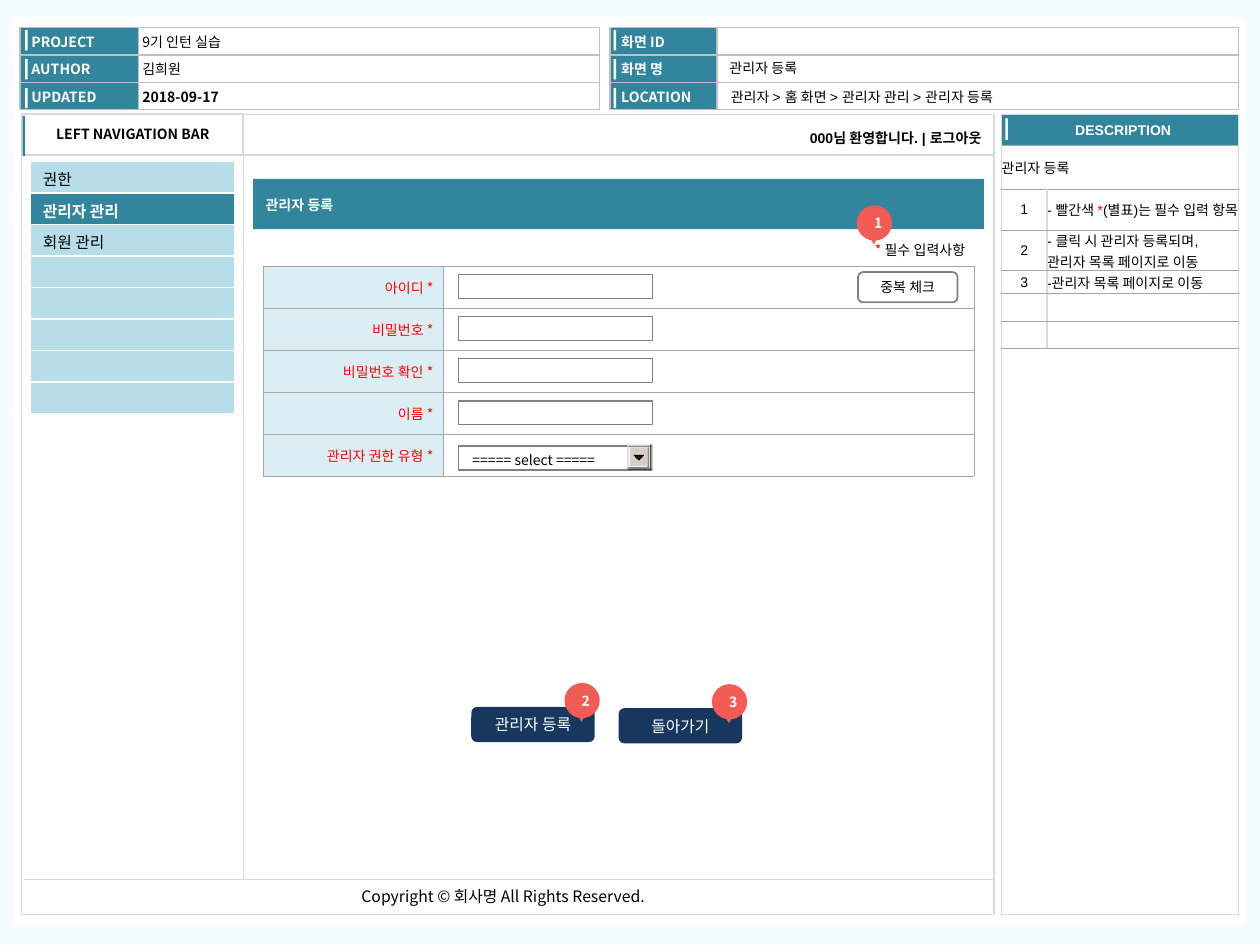
from lxml import etree
from pptx import Presentation
from pptx import util as u
from pptx.dml.color import RGBColor
from pptx.enum import shapes, text
from pptx.oxml.ns import qn

WHITE, BLACK, RED = (RGBColor.from_string(c) for c in ("FFFFFF", "000000", "FF0000"))
SKY = RGBColor(0xF3, 0xFC, 0xFF)
TEAL = RGBColor(0x31, 0x85, 0x9C)
AQUA = RGBColor(0xB7, 0xDE, 0xE8)
PALE = RGBColor(0xDB, 0xEE, 0xF4)
NAVY = RGBColor(0x17, 0x37, 0x5E)
CORAL = RGBColor(0xF2, 0x5C, 0x54)
LIGHT = RGBColor(0xD9, 0xD9, 0xD9)
SILVER = RGBColor(0xC0, 0xC0, 0xC0)
MIDDLE = RGBColor(0xA6, 0xA6, 0xA6)
GREY = RGBColor(0x80, 0x80, 0x80)
DARK = RGBColor(0x40, 0x40, 0x40)
FACE = RGBColor(0xD4, 0xD0, 0xC8)
NOTO, ARIAL = "Noto Sans CJK KR", "Arial"
LEFT, CENTER, RIGHT = text.PP_ALIGN.LEFT, text.PP_ALIGN.CENTER, text.PP_ALIGN.RIGHT
TOP, MIDDLE_ANCHOR = text.MSO_ANCHOR.TOP, text.MSO_ANCHOR.MIDDLE
RECT, ROUND = shapes.MSO_SHAPE.RECTANGLE, shapes.MSO_SHAPE.ROUNDED_RECTANGLE
OVAL, TRIANGLE = shapes.MSO_SHAPE.OVAL, shapes.MSO_SHAPE.ISOSCELES_TRIANGLE
THIN = (0.3, 0, 0.3, 0)
SNUG = (0.8, 0.4, 0.8, 0.4)


def cells(count):
    """Turn grid cells into a length; the slide has 100 by 75 cells."""
    return u.Inches(round(count / 10, 4))


class Sheet:
    """The style and the current slide."""

    def __init__(self, deck):
        """Add a blank slide with the page colour."""
        self.slide = deck.slides.add_slide(deck.slide_layouts[6])
        self.slide.background.fill.solid()
        self.slide.background.fill.fore_color.rgb = SKY
        self.target = self.slide.shapes

    def group(self):
        """Send the next elements into a new group."""
        self.target = self.slide.shapes.add_group_shape().shapes

    def ungroup(self):
        """Send the next elements straight to the slide."""
        self.target = self.slide.shapes

    def set_text(self, para, spans, size=8, color=BLACK, bold=False, font=NOTO, align=LEFT):
        """Fill a paragraph with one string or with (string, colour) spans."""
        para.alignment = align
        if not spans:
            etree.SubElement(para._p, qn("a:endParaRPr"), sz=str(size * 100))
            return
        for words, tint in [(spans, color)] if isinstance(spans, str) else spans:
            span = para.add_run()
            span.text = words
            span.font.size, span.font.bold, span.font.name = u.Pt(size), bold, font
            span.font.color.rgb = tint
            etree.SubElement(span.font._element, qn("a:ea"), typeface=NOTO)

    def box(self, x, y, w, h, fill=None, line=None, weight=0.75, kind=RECT, spans="",
            insets=(1, 0.5, 1, 0.5), anchor=MIDDLE_ANCHOR, **style):
        """Draw a preset shape, with text if given."""
        shape = self.target.add_shape(kind, *map(cells, (x, y, w, h)))
        shape.shadow.inherit = False
        if fill is None:
            shape.fill.background()
        else:
            shape.fill.solid()
            shape.fill.fore_color.rgb = fill
        if line is None:
            shape.line.fill.background()
        else:
            shape.line.color.rgb, shape.line.width = line, u.Pt(weight)
        if spans:
            self.fit(shape.text_frame, insets, anchor)
            self.set_text(shape.text_frame.paragraphs[0], spans, **style)
        return shape

    def label(self, x, y, w, h, spans, insets=(1, 0.5, 1, 0.5), wrap=True, **style):
        """Place a text box."""
        frame = self.target.add_textbox(*map(cells, (x, y, w, h))).text_frame
        self.fit(frame, insets, TOP)
        frame.word_wrap = wrap
        self.set_text(frame.paragraphs[0], spans, **style)

    def fit(self, frame, insets, anchor):
        """Set the insets and the anchor of a text frame."""
        frame.margin_left, frame.margin_top, frame.margin_right, frame.margin_bottom = map(cells, insets)
        frame.vertical_anchor, frame.word_wrap = anchor, True

    def rule(self, x1, y1, x2, y2, weight=1.0):
        """Draw a straight light line."""
        line = self.target.add_connector(shapes.MSO_CONNECTOR.STRAIGHT, *map(cells, (x1, y1, x2, y2)))
        line.line.color.rgb, line.line.width = LIGHT, u.Pt(weight)
        etree.SubElement(line._element.spPr, qn("a:effectLst"))

    def table(self, x, y, widths, heights, side, flat):
        """Add an empty table; side and flat are (colour, points) of its borders."""
        frame = self.target.add_table(len(heights), len(widths),
                                      *map(cells, (x, y, sum(widths), sum(heights))))
        grid = frame.table
        grid.first_row = grid.horz_banding = False
        for column, width in zip(grid.columns, widths):
            column.width = cells(width)
        for row, height in zip(grid.rows, heights):
            row.height = cells(height)
        for cell in grid.iter_cells():
            props = cell._tc.get_or_add_tcPr()
            for tag, (color, weight) in zip(("lnL", "lnR", "lnT", "lnB"), (side, side, flat, flat)):
                edge = etree.SubElement(props, qn("a:" + tag), w=str(int(u.Pt(weight))))
                paint = etree.SubElement(edge, qn("a:solidFill"))
                etree.SubElement(paint, qn("a:srgbClr"), val=str(color))
        return grid

    def cell(self, cell, spans="", fill=WHITE, insets=THIN, **style):
        """Fill one table cell and set its text."""
        cell.margin_left, cell.margin_top, cell.margin_right, cell.margin_bottom = map(cells, insets)
        cell.vertical_anchor = MIDDLE_ANCHOR
        if fill is None:
            cell.fill.background()
        else:
            cell.fill.solid()
            cell.fill.fore_color.rgb = fill
        self.set_text(cell.text_frame.paragraphs[0], spans, **style)

    def marker(self, x, y, number):
        """Draw a numbered pin."""
        self.group()
        self.box(x + 0.9, y + 2.3, 0.9, 0.8, CORAL, kind=TRIANGLE).rotation = 180
        self.box(x, y, 2.8, 2.8, CORAL, kind=OVAL, spans=number, insets=(0.6, 0, 0, 0),
                 color=WHITE, bold=True, align=CENTER)
        self.ungroup()

    def frame(self, x, y, w, h, light, shade):
        """Draw a bevel of four strips."""
        t = 0.12
        for strip, color in (((x, y, t, h), light), ((x, y, w, t), light),
                             ((x + w - t, y, t, h), shade), ((x, y + h - t, w, t), shade)):
            self.box(*strip, color)


def header(sheet):
    """Draw the two tables at the head of the page."""
    project = (("PROJECT", "9기 인턴 실습"), ("AUTHOR", "김희원"), ("UPDATED", "2018-09-17"))
    screen = (("화면 ID", ""), ("화면 명", ""), ("LOCATION", ""))
    for x, widths, rows, bar in ((1.6, (9.4, 36.6), project, 2), (48.4, (8.5, 41.4), screen, 48.7)):
        grid = sheet.table(x, 2.2, widths, [6.5 / 3] * 3, (SILVER, 1), (SILVER, 1))
        for index, (name, value) in enumerate(rows):
            sheet.cell(grid.cell(index, 0), name, TEAL, (0.9, 0, 0.3, 0), color=WHITE, bold=True)
            sheet.cell(grid.cell(index, 1), value, bold=name == "UPDATED")
            sheet.box(bar, 2.4 + 2.3 * index, 0.2, 1.6, WHITE)
    sheet.label(57.2, 6.6, 29, 2, "관리자 > 홈 화면 > 관리자 관리 > 관리자 등록", SNUG, font=ARIAL)
    sheet.label(57.1, 4.3, 29, 2, "관리자 등록", SNUG, font=ARIAL)


def description(sheet):
    """Draw the description column."""
    panel = sheet.table(79.5, 9.1, [18.8], [2.5, 61], (LIGHT, 1), (LIGHT, 1))
    sheet.cell(panel.cell(0, 0), "DESCRIPTION", TEAL, (0.5, 0, 0, 0), color=WHITE, bold=True,
               font=ARIAL, align=CENTER)
    sheet.cell(panel.cell(1, 0))
    sheet.box(79.8, 9.4, 0.2, 1.7, WHITE)
    notes = ([("- 빨간색 ", BLACK), ("*", RED), ("(별표)는 필수 입력 항목", BLACK)],
             "- 클릭 시 관리자 등록되며, 관리자 목록 페이지로 이동",
             "-관리자 목록 페이지로 이동", "", "")
    grid = sheet.table(79.5, 11.5, (3.6, 15.2), (3.5, 3.3, 3.2, 1.8, 2.2, 2.2), (LIGHT, 1), (MIDDLE, 0.5))
    grid.cell(0, 0).merge(grid.cell(0, 1))
    flush = dict(insets=(0, 0, 0, 0), font=ARIAL)
    sheet.cell(grid.cell(0, 0), "관리자 등록", **flush)
    for index, note in enumerate(notes, 1):
        sheet.cell(grid.cell(index, 0), str(index) if note else "", align=CENTER, **flush)
        sheet.cell(grid.cell(index, 1), note, **flush)


def navigation(sheet):
    """Draw the page frame, the greeting and the menu."""
    sheet.rule(1.9, 69.8, 78.9, 69.8)
    sheet.label(27.7, 69.9, 25.2, 2.5, "Copyright ©\u00a0회사명 All Rights Reserved.", wrap=False, size=9)
    sheet.box(1.8, 9, 17.5, 3.3, line=LIGHT, spans="LEFT NAVIGATION BAR", bold=True, align=CENTER)
    sheet.box(1.8, 9.2, 0.2, 3.2, TEAL)
    sheet.rule(19.3, 9.1, 19.3, 69.8, 0.75)
    sheet.rule(19.3, 12.3, 78.9, 12.3)
    sheet.label(52.9, 9.9, 25.8, 2.2, "000님 환영합니다. | 로그아웃", SNUG, bold=True, font=ARIAL, align=RIGHT)
    menu = sheet.table(2.4, 12.8, [16.2], [2.5] * 8, (WHITE, 1), (WHITE, 1))
    for index, name in enumerate(("권한", "관리자 관리", "회원 관리") + ("",) * 5):
        chosen = index == 1
        sheet.cell(menu.cell(index, 0), name, TEAL if chosen else AQUA, (1, 0.3, 1, 0), size=9,
                   color=WHITE if chosen else BLACK, bold=chosen)


def form(sheet):
    """Draw the registration form."""
    sheet.group()
    sheet.box(20.1, 14.2, 58, 4, TEAL)
    sheet.box(20.1, 15.1, 51.4, 2.4, TEAL, spans="관리자 등록", anchor=TOP, color=WHITE, bold=True)
    sheet.ungroup()
    pitch = 16.7 / 5
    grid = sheet.table(20.9, 21.1, (14.3, 42.1), [pitch] * 5, (MIDDLE, 0.25), (MIDDLE, 0.25))
    for index, name in enumerate(("아이디", "비밀번호", "비밀번호 확인", "이름", "관리자 권한 유형")):
        sheet.cell(grid.cell(index, 0), name + " *", PALE, SNUG, color=RED, align=RIGHT)
        sheet.cell(grid.cell(index, 1), fill=None)
        if index < 4:
            sheet.box(36.4, 21.8 + pitch * index, 15.4, 1.9, WHITE, GREY)
    sheet.label(63.4, 18.7, 14.2, 2.4, [("* ", RED), ("필수 입력사항", BLACK)], align=RIGHT)
    sheet.box(68.1, 21.6, 7.9, 2.4, WHITE, GREY, 1, ROUND, "중복 체크", align=CENTER)
    sheet.marker(68, 16.3, "1")
    sheet.box(36.4, 35.4, 15.4, 1.9, WHITE, GREY, spans="===== select =====", insets=(1.1, 0.3, 0.8, 0))
    sheet.group()
    sheet.box(51.8, 35.1, 0.1, 2.4, WHITE)
    sheet.box(51.7, 35.2, 0.1, 2.1, FACE)
    sheet.frame(49.8, 35.3, 1.9, 2, FACE, DARK)
    sheet.frame(49.9, 35.5, 1.6, 1.7, WHITE, GREY)
    sheet.box(50, 35.5, 1.4, 1.5, FACE)
    for step in range(4):
        sheet.box(50.3 + 0.1 * step, 36.1 + 0.1 * step, 0.8 - 0.2 * step, 0.12, BLACK)
    sheet.ungroup()
    for x, y, name, number in ((37.4, 56.1, "관리자 등록", "2"), (49.1, 56.2, "돌아가기", "3")):
        sheet.box(x, y, 9.8, 2.8, NAVY, kind=ROUND, spans=name, size=9, color=WHITE, align=CENTER)
        sheet.marker(x + 7.4, y - 1.9, number)


deck = Presentation()
deck.slide_width, deck.slide_height = cells(100), cells(75)
sheet = Sheet(deck)
sheet.box(1, 1.4, 97.9, 72.1, WHITE)
header(sheet)
sheet.box(1.7, 9.1, 77.2, 63.5, line=LIGHT)
description(sheet)
navigation(sheet)
form(sheet)
deck.save("out.pptx")
